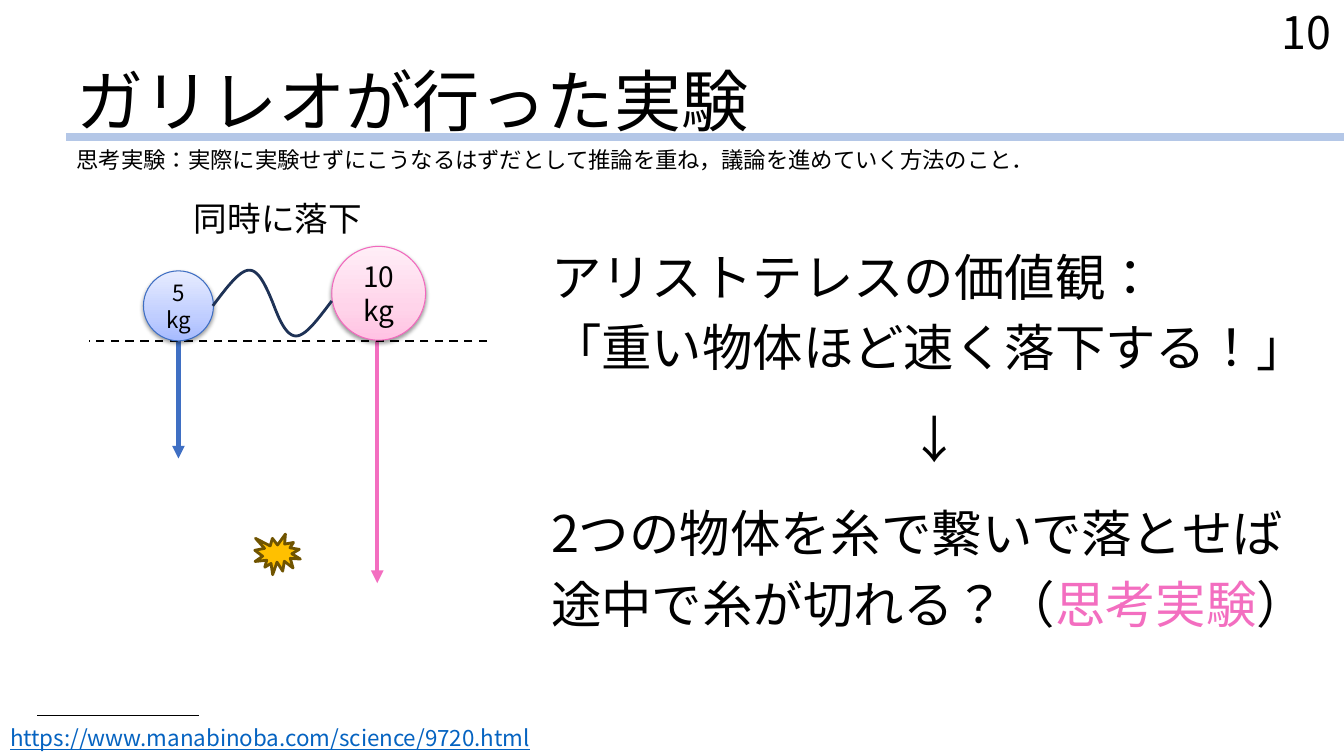
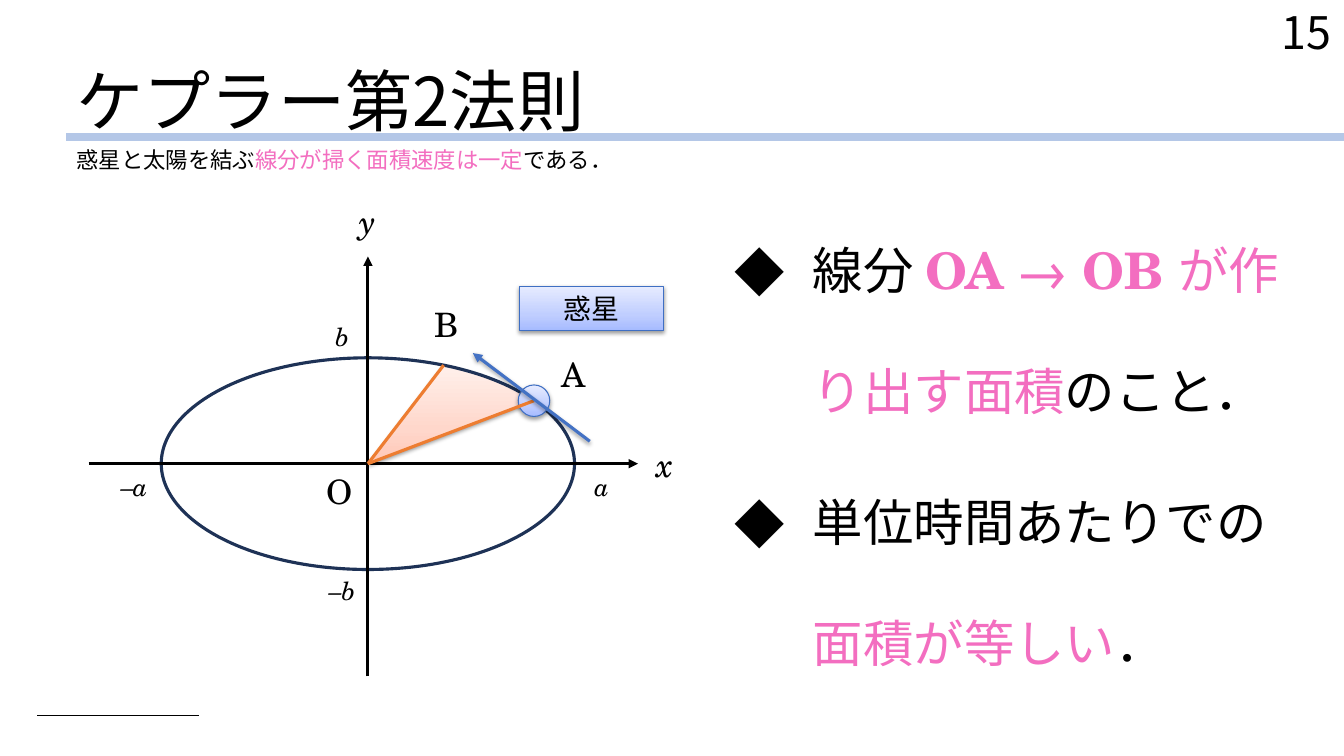
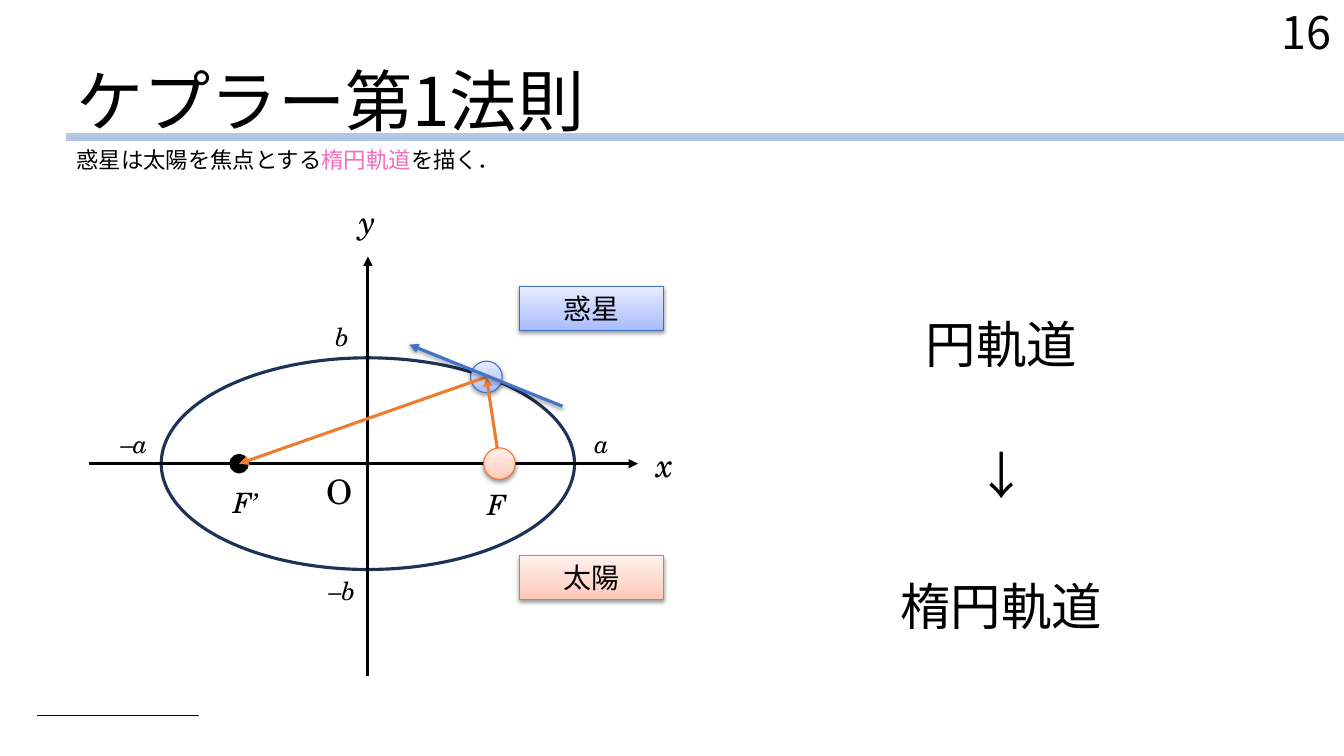
from copy import deepcopy
from math import cos, radians, sin

from lxml.etree import SubElement
from pptx import Presentation
from pptx.dml.color import RGBColor
from pptx.enum.dml import MSO_LINE
from pptx.enum.lang import MSO_LANGUAGE_ID
from pptx.enum.shapes import MSO_CONNECTOR, MSO_SHAPE
from pptx.enum.text import MSO_ANCHOR, MSO_AUTO_SIZE, PP_ALIGN
from pptx.oxml.ns import qn
from pptx.util import Pt

COLORS = {
    "black": "000000", "pink": "F36EC0", "link": "0563C1", "rule": "B4C7E7",
    "navy": "1E3256", "blue": "4472C4", "orange": "ED7D31",
    "burst": "FFC000", "burst_line": "705400",
    "sky_deep": "A6BBFF", "sky_mid": "C0CEFF", "sky_pale": "E7ECFF", "sky_line": "3F6FC3",
    "rose_deep": "FFC2E3", "rose_mid": "FFD4EA", "rose_pale": "FFEEF7", "rose_line": "F168BD",
    "sun_deep": "FFC7B6", "sun_mid": "FFD7CB", "sun_pale": "FFF0EB", "sun_line": "EC792B",
}
GOTHIC = "Noto Sans CJK KR"
LINK_FACE = "Noto Sans CJK JP"
SERIF = "TeX Gyre Schola"
LEADING = 1.2
SEMI_MAJOR, SEMI_MINOR = 147.6, 75.6
ORBIT_CENTER = (262.8, 331.2)


def rgb(name):
    """Look up a named colour."""
    return RGBColor.from_string(COLORS[name])


def write(frame, lines, size, align=PP_ALIGN.LEFT, anchor=MSO_ANCHOR.TOP,
          leading=LEADING, bullet=None, hang=0, **style):
    """Fill a text frame; a line is a list of strings or (string, style) pairs."""
    frame.word_wrap = True
    frame.auto_size = MSO_AUTO_SIZE.NONE
    frame.vertical_anchor = anchor
    for index, line in enumerate(lines):
        para = frame.paragraphs[0] if index == 0 else frame.add_paragraph()
        set_bullet(para, bullet, hang)
        para.alignment = align
        para.line_spacing = Pt(round(size * leading, 1))
        para.space_before = Pt(round(size * 0.2, 1) if index and bullet_gap(size) else 0)
        for part in line:
            text, extra = (part, {}) if isinstance(part, str) else part
            span = para.add_run()
            span.text = text
            format_span(span, size, **{**style, **extra})


def bullet_gap(size):
    """Tell whether text is large enough for gaps between paragraphs."""
    return size > 20


def set_bullet(para, bullet, hang):
    """Give a paragraph a hanging bullet, or none."""
    properties = para._p.get_or_add_pPr()
    properties.set("marL", str(Pt(hang)))
    properties.set("indent", str(-Pt(hang)))
    if bullet is None:
        SubElement(properties, qn("a:buNone"))
        return
    color = SubElement(properties, qn("a:buClr"))
    SubElement(color, qn("a:srgbClr"), val=COLORS["black"])
    SubElement(properties, qn("a:buFont"), typeface=GOTHIC)
    SubElement(properties, qn("a:buChar"), char=bullet)


def format_span(span, size, face=GOTHIC, color="black", bold=False, italic=False,
                underline=False):
    """Set face, size and colour of a run, for Latin and Japanese letters."""
    font = span.font
    font.size = Pt(size)
    font.bold, font.italic, font.underline = bold, italic, underline
    font.color.rgb = rgb(color)
    font.language_id = MSO_LANGUAGE_ID.JAPANESE
    font.name = face
    japanese = LINK_FACE if face == LINK_FACE else GOTHIC
    SubElement(span._r.get_or_add_rPr(), qn("a:ea"), typeface=japanese)


def place(shape, box):
    """Move a shape to a left, top, width, height box."""
    shape.left, shape.top, shape.width, shape.height = map(Pt, box)


def around(center, width, height):
    """Return the box of a given size around a centre."""
    return center[0] - width / 2, center[1] - height / 2, width, height


def shift(origin, offset):
    """Add an offset to a point."""
    return origin[0] + offset[0], origin[1] + offset[1]


def set_effects(shape, shadow):
    """Replace the theme shadow by a soft drop shadow or by nothing."""
    effects = SubElement(shape._element.spPr, qn("a:effectLst"))
    if shadow:
        outer = SubElement(effects, qn("a:outerShdw"), blurRad=str(Pt(3.1)),
                           dist=str(Pt(1.6)), dir="5400000", rotWithShape="0")
        color = SubElement(outer, qn("a:srgbClr"), val=COLORS["black"])
        SubElement(color, qn("a:alpha"), val="38000")


def add_line(page, start, end, color, width, arrow=False, dashed=False, shadow=False):
    """Draw a straight line, with an arrowhead at its end if wanted."""
    line = page.shapes.add_connector(MSO_CONNECTOR.STRAIGHT, *map(Pt, (*start, *end)))
    line.line.color.rgb = rgb(color)
    line.line.width = Pt(width)
    if dashed:
        line.line.dash_style = MSO_LINE.DASH
    if arrow:
        SubElement(line.line._get_or_add_ln(), qn("a:tailEnd"), type="triangle")
    set_effects(line, shadow)
    return line


def paint(shape, fill, line, width):
    """Give a shape a plain fill, or none, and an outline without shadow."""
    if fill:
        shape.fill.solid()
        shape.fill.fore_color.rgb = rgb(fill)
    else:
        shape.fill.background()
    shape.line.color.rgb = rgb(line)
    shape.line.width = Pt(width)
    set_effects(shape, False)


def paint_glossy(shape, tone):
    """Give a shape a three-step gradient, a thin outline and a shadow."""
    shape.fill.gradient()
    shape.fill.gradient_angle = 90
    stop_list = shape._element.spPr.find(".//" + qn("a:gsLst"))
    stop_list.append(deepcopy(stop_list[-1]))
    steps = (("deep", 0), ("mid", 0.35), ("pale", 1))
    for stop, (step, position) in zip(shape.fill.gradient_stops, steps):
        stop.color.rgb = rgb(f"{tone}_{step}")
        stop.position = position
    shape.line.color.rgb = rgb(f"{tone}_line")
    shape.line.width = Pt(0.75)
    set_effects(shape, True)


def add_shape(page, kind, box):
    """Add a preset shape in a box."""
    return page.shapes.add_shape(kind, *map(Pt, box))


def add_outline(page, points, close):
    """Draw a path through points."""
    corners = [(Pt(x), Pt(y)) for x, y in points]
    builder = page.shapes.build_freeform(*corners[0])
    builder.add_line_segments(corners[1:], close=close)
    return builder.convert_to_shape()


def add_text(page, box, lines, size, **style):
    """Add a text box."""
    frame = page.shapes.add_textbox(*map(Pt, box)).text_frame
    write(frame, lines, size, **style)
    return frame


def add_ball(page, center, diameter, tone, lines=(), size=16):
    """Draw a glossy ball, with its weight if given."""
    ball = add_shape(page, MSO_SHAPE.OVAL, around(center, diameter, diameter))
    paint_glossy(ball, tone)
    frame = ball.text_frame
    frame.margin_left = frame.margin_right = frame.margin_top = frame.margin_bottom = 0
    if lines:
        write(frame, lines, size, PP_ALIGN.CENTER, MSO_ANCHOR.MIDDLE)


def add_badge(page, center, text, tone):
    """Draw a glossy name plate."""
    badge = add_shape(page, MSO_SHAPE.RECTANGLE, around(center, 103, 31.6))
    paint_glossy(badge, tone)
    write(badge.text_frame, [[text]], 20, PP_ALIGN.CENTER, face=SERIF)


def add_label(page, center, text, size, italic=True):
    """Write a mathematical label around a centre."""
    box = around(center, 40, size * LEADING + 7.2)
    add_text(page, box, [[text]], size, align=PP_ALIGN.CENTER, face=SERIF, italic=italic)


def add_page(deck, number, title, subtitle):
    """Add a slide with number, title and subtitle; return it with its second body."""
    page = deck.slides.add_slide(deck.slide_layouts[3])
    heading, summary, body = page.placeholders
    place(heading, (47.5, 36, 912.5, 64))
    heading.text_frame.margin_bottom = 0
    write(heading.text_frame, [[title]], 48, anchor=MSO_ANCHOR.BOTTOM)
    place(summary, (47.5, 101, 912.5, 23))
    write(summary.text_frame, [subtitle], 16)
    add_text(page, (857, 0, 101, 47.5), [[number]], 32, align=PP_ALIGN.RIGHT)
    return page, body


def move_rules_to_layout(deck, page):
    """Draw the title rule and the footnote rule on the layout all slides use."""
    tree = deck.slide_layouts[3].shapes._spTree
    for start, end, color, width in (((47.5, 98), (960, 98), "rule", 6),
                                     ((142, 511), (26.5, 511), "black", 1)):
        tree.append(add_line(page, start, end, color, width)._element)


def bezier(start, first, second, end, steps=24):
    """List the points of a cubic curve."""
    points = []
    for step in range(steps + 1):
        t = step / steps
        weights = ((1 - t) ** 3, 3 * t * (1 - t) ** 2, 3 * t * t * (1 - t), t ** 3)
        points.append(tuple(sum(w * p[axis] for w, p in zip(weights, (start, first, second, end)))
                            for axis in (0, 1)))
    return points


def draw_falling_balls(page, origin):
    """Draw two tied balls above their fall arrows, from the left end of the floor line."""
    light, heavy = shift(origin, (64, -25)), shift(origin, (207, -34))
    add_line(page, shift(origin, (206, 0)), shift(origin, (206, 173)), "pink", 3, arrow=True)
    add_line(page, shift(origin, (64, 0)), shift(origin, (64, 84)), "sky_line", 3, arrow=True)
    add_line(page, shift(origin, (284.5, 0)), origin, "black", 1.5, dashed=True)
    add_ball(page, light, 50, "sky", [["5"], ["kg"]], 16)
    add_ball(page, heavy, 67, "rose", [["10"], ["kg"]], 20)
    halves = (((88.5, -25), (98, -37.5), (107.5, -50.5), (114.5, -50.5)),
              ((114.5, -50.5), (121.5, -50.5), (126.5, -39), (131.5, -27)),
              ((131.5, -27), (136, -15), (141, -3.5), (148, -3.5)),
              ((148, -3.5), (155, -3.5), (164, -16), (173.5, -28.5)))
    for pair in (halves[:2], halves[2:]):
        points = [shift(origin, point) for curve in pair for point in bezier(*curve)]
        paint(add_outline(page, points, False), None, "navy", 2)
    add_text(page, (*shift(origin, (64, -106)), 142, 36), [["同時に落下"]], 24,
             align=PP_ALIGN.CENTER)
    burst = add_shape(page, MSO_SHAPE.EXPLOSION1, (*shift(origin, (118.5, 138)), 32.5, 29))
    paint(burst, "burst", "burst_line", 2)


def orbit_point(angle):
    """Return the point of the orbit at an angle in degrees."""
    return shift(ORBIT_CENTER, (SEMI_MAJOR * cos(radians(angle)),
                                -SEMI_MINOR * sin(radians(angle))))


def draw_orbit(page, center, vertex_drop):
    """Draw the ellipse with axes and labels around its centre."""
    ellipse = add_shape(page, MSO_SHAPE.OVAL, around(center, 2 * SEMI_MAJOR, 2 * SEMI_MINOR))
    paint(ellipse, None, "navy", 2.25)
    for start, end in (((-199.5, 0), (193, 0)), ((0, 152), (0, -148))):
        add_line(page, shift(center, start), shift(center, end), "black", 2.25, arrow=True)
    for text, offset, size in (("x", (212, 0), 24), ("y", (0, -173), 24),
                               ("a", (167, vertex_drop), 18), ("–a", (-167, vertex_drop), 18),
                               ("–b", (-18.5, 90.5), 18), ("b", (-18.5, -90.5), 18)):
        add_label(page, shift(center, offset), text, size)
    add_label(page, shift(center, (-20.5, 19.5)), "O", 24, italic=False)
    add_badge(page, shift(center, (159.5, -111)), "惑星", "sky")


def draw_velocity(page, center, start, end):
    """Draw the velocity arrow of the planet."""
    add_line(page, shift(center, start), shift(center, end), "blue", 2.25, arrow=True, shadow=True)


def build_galileo(deck):
    """Build the slide on the falling bodies."""
    page, source = add_page(deck, "10", "ガリレオが行った実験",
                            ["思考実験：実際に実験せずにこうなるはずだとして推論を重ね，議論を進めていく方法のこと．"])
    move_rules_to_layout(deck, page)
    place(source, (0, 511, 833, 29))
    write(source.text_frame, [["https://www.manabinoba.com/science/9720.html"]], 16,
          anchor=MSO_ANCHOR.BOTTOM, face=LINK_FACE, color="link", underline=True)
    draw_falling_balls(page, (63.5, 243.5))
    statements = (
        (170, 105, PP_ALIGN.LEFT, [["アリストテレスの価値観："], ["「重い物体ほど速く落下する！」"]]),
        (350.5, 110, PP_ALIGN.LEFT, [["2つの物体を糸で繋いで落とせば"],
                                     ["途中で糸が切れる？（", ("思考実験", {"color": "pink"}), "）"]]),
        (291.5, 42.5, PP_ALIGN.CENTER, [["↓"]]),
    )
    for top, height, align, lines in statements:
        frame = add_text(page, (386.5, top, 555, height), lines, 36, align=align,
                         anchor=MSO_ANCHOR.MIDDLE)
        frame.margin_right = 0


def build_second_law(deck):
    """Build the slide on the areal velocity."""
    page, body = add_page(deck, "15", "ケプラー第2法則",
                          ["惑星と太陽を結ぶ", ("線分が掃く面積速度は一定", {"color": "pink"}), "である．"])
    pink = {"color": "pink"}
    serif = {"color": "pink", "face": SERIF}
    bold = {**serif, "bold": True}
    place(body, (517.5, 124, 415.5, 386.5))
    write(body.text_frame,
          [["線分 ", ("OA ", bold), ("→ ", serif), ("OB ", bold), ("が作り出す面積", pink), "のこと．"],
           ["単位時間あたりでの", ("面積が等しい", pink), "．"]],
          36, leading=2 * LEADING, bullet="◆", hang=56)
    center, planet_angle, later_angle = ORBIT_CENTER, 36.5, 68.5
    arc = [orbit_point(planet_angle + (later_angle - planet_angle) * step / 16)
           for step in range(17)]
    paint_glossy(add_outline(page, [center, *arc], True), "sun")
    draw_orbit(page, center, 16.5)
    add_ball(page, arc[0], 22.5, "sky")
    add_line(page, arc[0], center, "orange", 2.25)
    draw_velocity(page, center, (158.5, -16), (75, -79))
    add_label(page, shift(center, (147, -64)), "A", 24, italic=False)
    add_label(page, shift(center, (56, -100)), "B", 24, italic=False)
    add_line(page, arc[-1], center, "orange", 2.25)


def build_first_law(deck):
    """Build the slide on the elliptic orbit."""
    page, body = add_page(deck, "16", "ケプラー第1法則",
                          ["惑星は太陽を焦点とする", ("楕円軌道", {"color": "pink"}), "を描く．"])
    place(body, (517.5, 124, 395.5, 386.5))
    write(body.text_frame, [["円軌道"], ["↓"], ["楕円軌道"]], 36, PP_ALIGN.CENTER,
          MSO_ANCHOR.MIDDLE, leading=2 * LEADING)
    center, planet = ORBIT_CENTER, orbit_point(55)
    sun, empty_focus = shift(center, (94, 0)), shift(center, (-92, 0))
    draw_orbit(page, center, -14.5)
    add_ball(page, planet, 22.5, "sky")
    add_line(page, sun, planet, "orange", 2.25, arrow=True)
    add_ball(page, sun, 22.5, "sun")
    add_label(page, shift(center, (92, 29)), "F", 20)
    dot = add_shape(page, MSO_SHAPE.OVAL, around(empty_focus, 12, 12))
    paint(dot, "black", "black", 2)
    add_label(page, shift(center, (-87.5, 27.5)), "F’", 20)
    add_badge(page, shift(center, (159.5, 81.5)), "太陽", "sun")
    add_line(page, planet, empty_focus, "orange", 2.25, arrow=True)
    draw_velocity(page, center, (139, -41), (29.5, -85))


def main():
    """Build and save the deck."""
    deck = Presentation()
    deck.slide_width, deck.slide_height = Pt(960), Pt(540)
    for build in (build_galileo, build_second_law, build_first_law):
        build(deck)
    deck.save("out.pptx")


if __name__ == "__main__":
    main()
